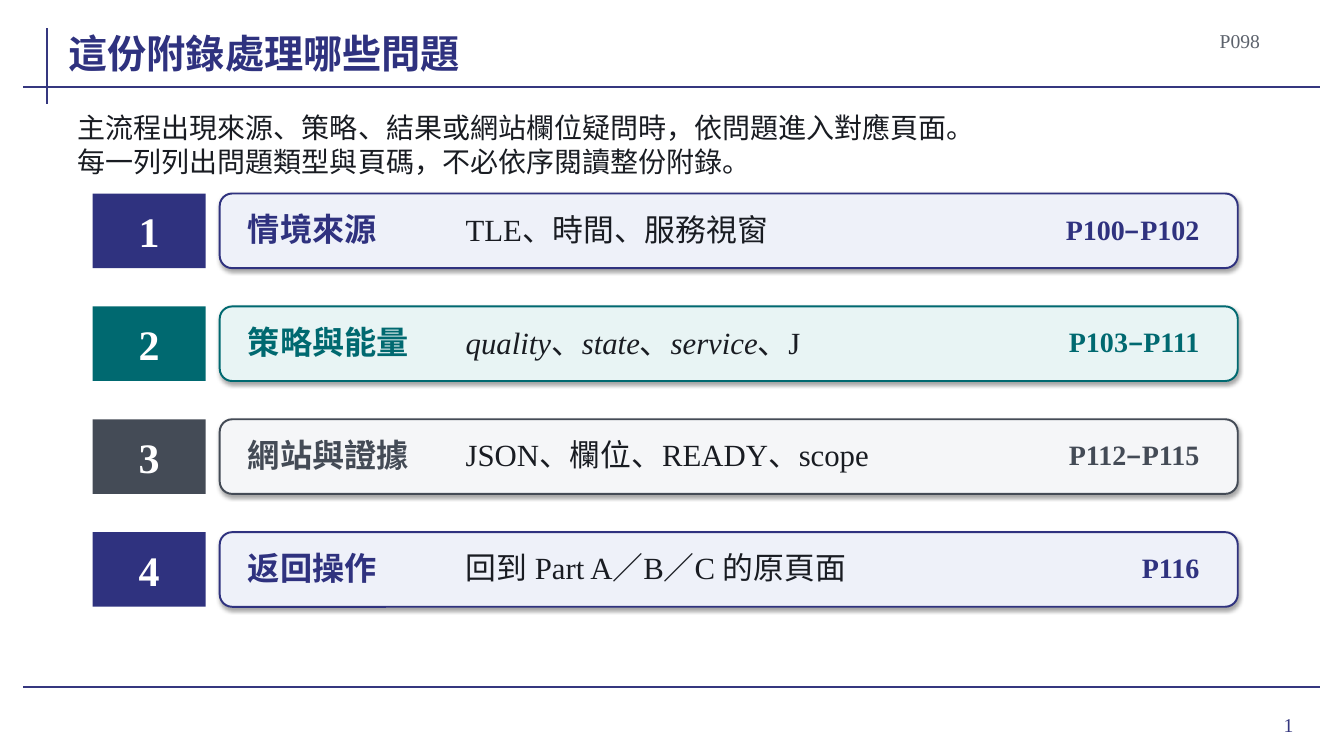
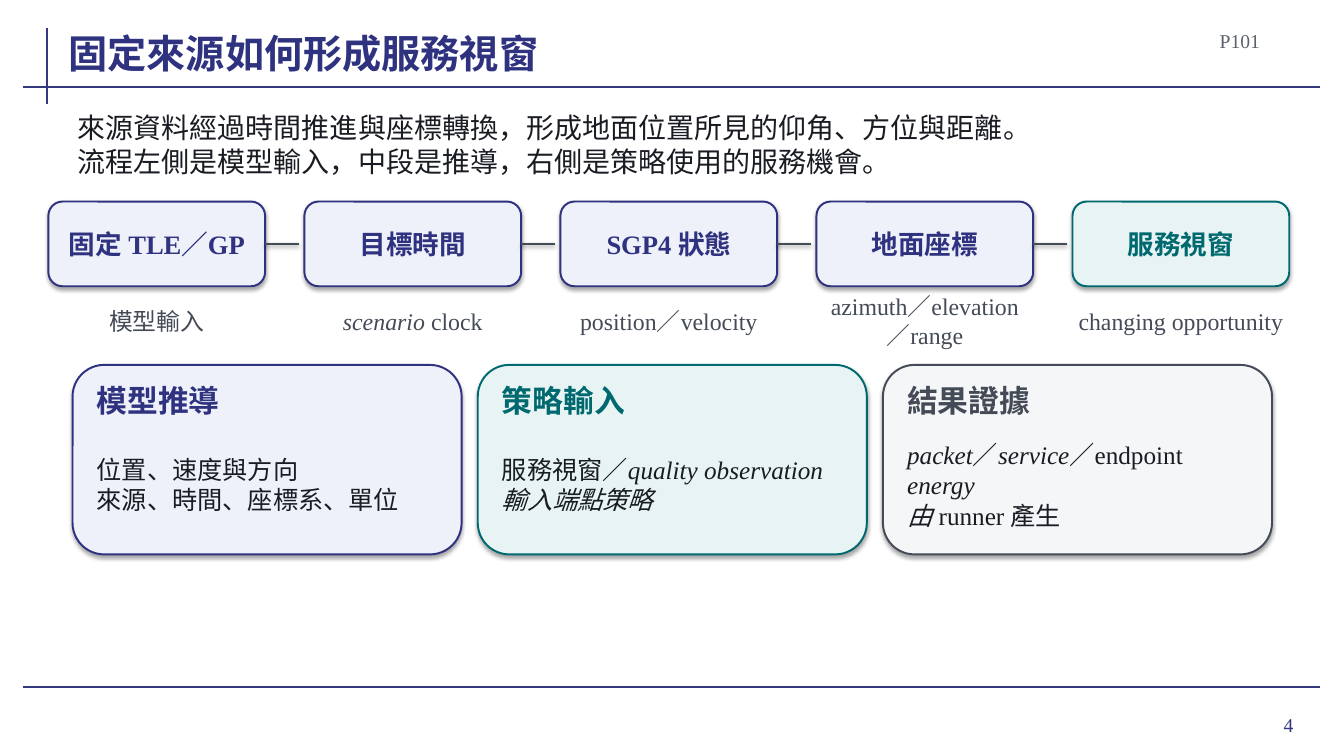
from collections import namedtuple
from dataclasses import dataclass
from itertools import groupby

from lxml import etree
from pptx import Presentation
from pptx.dml.color import RGBColor
from pptx.enum.shapes import MSO_CONNECTOR, MSO_SHAPE
from pptx.enum.text import MSO_ANCHOR, MSO_AUTO_SIZE, PP_ALIGN
from pptx.oxml.ns import qn
from pptx.util import Pt

LEFT, CENTER, RIGHT = PP_ALIGN.LEFT, PP_ALIGN.CENTER, PP_ALIGN.RIGHT
MIDDLE, BOTTOM = MSO_ANCHOR.MIDDLE, MSO_ANCHOR.BOTTOM
FIXED, GROW = MSO_AUTO_SIZE.NONE, MSO_AUTO_SIZE.SHAPE_TO_FIT_TEXT
RECTANGLE, ROUNDED = MSO_SHAPE.RECTANGLE, MSO_SHAPE.ROUNDED_RECTANGLE
STRAIGHT = MSO_CONNECTOR.STRAIGHT

Box = namedtuple("Box", "left top width height")
Tone = namedtuple("Tone", "strong pale")


@dataclass(frozen=True)
class Theme:
    latin: str = "Times New Roman"
    chinese: str = "Noto Sans CJK SC"
    rule: str = "35377F"
    ink: str = "191C22"
    muted: str = "5C626C"
    white: str = "FFFFFF"
    navy: Tone = Tone("2F327F", "EEF1F9")
    teal: Tone = Tone("006970", "E8F4F4")
    slate: Tone = Tone("444B56", "F5F6F8")
    title_size: float = 28
    small_size: float = 14
    intro_size: float = 20
    number_size: float = 30
    topic_size: float = 23
    detail_size: float = 22
    pages_size: float = 20
    step_size: float = 19
    caption_size: float = 17
    card_title_size: float = 22
    card_body_size: float = 18
    border: float = 1.4
    rule_width: float = 1.5


THEME = Theme()


def rgb(value):
    return RGBColor.from_string(value)


def points(*values):
    return [Pt(value) for value in values]


def inner(box, left, top, width, height):
    """Box whose left and top are counted from the corner of another box."""
    return Box(box.left + left, box.top + top, width, height)


def set_shadow(item, alpha=None, distance=0):
    """Replace the theme shadow by none, or by a soft one straight below."""
    effects = etree.SubElement(item._element.spPr, qn("a:effectLst"))
    if alpha is None:
        return
    shadow = etree.SubElement(effects, qn("a:outerShdw"), {
        "blurRad": str(Pt(3.1)), "dist": str(Pt(distance)),
        "dir": "5400000", "algn": "ctr", "rotWithShape": "0"})
    color = etree.SubElement(shadow, qn("a:srgbClr"), val="000000")
    etree.SubElement(color, qn("a:alpha"), val=str(alpha * 1000))


def split_spans(line):
    """Yield (text, italic, font name); asterisks enclose italic text."""
    for index, part in enumerate(line.split("*")):
        for ascii_only, letters in groupby(part, str.isascii):
            font = THEME.latin if ascii_only else THEME.chinese
            yield "".join(letters), index % 2 == 1, font


def write(item, text, size, color, bold=False, align=LEFT, anchor=MIDDLE,
          margins=(2.88, 2.88), fit=GROW):
    frame = item.text_frame
    across, down = points(*margins)
    frame_format = {
        "word_wrap": True, "auto_size": fit, "vertical_anchor": anchor,
        "margin_left": across, "margin_right": across,
        "margin_top": down, "margin_bottom": down}
    for name, value in frame_format.items():
        setattr(frame, name, value)
    para = frame.paragraphs[0]
    para.alignment = align
    for number, line in enumerate(text.split("\n")):
        if number:
            para.add_line_break()
        for letters, italic, font in split_spans(line):
            span = para.add_run()
            span.text = letters
            span_format = {"size": Pt(size), "bold": bold,
                           "italic": italic, "name": font}
            for name, value in span_format.items():
                setattr(span.font, name, value)
            span.font.color.rgb = rgb(color)
            etree.SubElement(span._r.get_or_add_rPr(), qn("a:ea"),
                             typeface=font)


def add_text(page, box, text, size, color, **options):
    write(page.shapes.add_textbox(*points(*box)), text, size, color, **options)


def add_rule(page, start, end, color, alpha=None):
    rule = page.shapes.add_connector(STRAIGHT, *points(*start, *end))
    rule.line.color.rgb = rgb(color)
    rule.line.width = Pt(THEME.rule_width)
    set_shadow(rule, alpha, 1.6)


def add_panel(page, box, tone):
    """Pale rounded panel with a strong border and a soft shadow."""
    panel = page.shapes.add_shape(ROUNDED, *points(*box))
    panel.fill.solid()
    panel.fill.fore_color.rgb = rgb(tone.pale)
    panel.line.color.rgb = rgb(tone.strong)
    panel.line.width = Pt(THEME.border)
    set_shadow(panel, 35, 1.8)


def add_page(deck, title, code, number, intro):
    """Page with the shared rules, title, page code, number and intro."""
    page = deck.slides.add_slide(deck.slide_layouts[6])
    add_rule(page, (33.84, 20.16), (33.84, 74.16), THEME.rule)
    for height in (61.92, 491.04):
        add_rule(page, (16.56, height), (943.2, height), THEME.rule)
    add_text(page, Box(861.12, 498.96, 69.84, 37.44), number,
             THEME.small_size, THEME.rule, align=RIGHT, margins=(7.2, 3.6),
             fit=FIXED)
    add_text(page, Box(48.96, 12.96, 784.8, 41.76), title, THEME.title_size,
             THEME.navy.strong, bold=True, anchor=BOTTOM, margins=(0, 0),
             fit=FIXED)
    add_text(page, Box(843.84, 19.44, 59.04, 18.72), code, THEME.small_size,
             THEME.muted, align=RIGHT)
    add_text(page, Box(54.72, 80.64, 848.16, 44.64), intro, THEME.intro_size,
             THEME.ink, margins=(0.72, 0.72))
    return page


def add_index_row(page, box, number, tone, topic, detail, pages):
    badge = page.shapes.add_shape(
        RECTANGLE, *points(box.left, box.top, 80.64, box.height))
    badge.fill.solid()
    badge.fill.fore_color.rgb = rgb(tone.strong)
    badge.line.fill.background()
    set_shadow(badge)
    write(badge, number, THEME.number_size, THEME.white, bold=True,
          align=CENTER)

    offset = 90.72
    panel = inner(box, offset, 0, box.width - offset, box.height)
    add_panel(page, panel, tone)
    add_text(page, inner(panel, 17.28, 5.76, 154.8, 38.88), topic,
             THEME.topic_size, tone.strong, bold=True)
    add_text(page, inner(panel, 172.8, 5.76, 399.6, 38.88), detail,
             THEME.detail_size, THEME.ink)
    add_text(page, inner(panel, 583.2, 5.76, 119.52, 38.88), pages,
             THEME.pages_size, tone.strong, bold=True, align=RIGHT)


def add_step(page, box, tone, label, caption):
    add_panel(page, box, tone)
    add_text(page, inner(box, 7.2, 5.76, box.width - 14.4, box.height - 11.52),
             label, THEME.step_size, tone.strong, bold=True, align=CENTER)
    add_text(page, inner(box, 0, box.height + 7.2, box.width, 34.56), caption,
             THEME.caption_size, THEME.slate.strong, align=CENTER)


def add_flow(page, box, steps):
    """Row of equal steps, joined by short lines."""
    width = 154.8
    pitch = (box.width - width) / (len(steps) - 1)
    middle = box.top + box.height / 2
    for index, step in enumerate(steps):
        left = box.left + index * pitch
        if index:
            start = left - pitch + width
            add_rule(page, (start, middle), (start + 24.48, middle),
                     THEME.slate.strong, 38)
        add_step(page, Box(left, box.top, width, box.height), *step)


def add_card(page, box, tone, title, body):
    add_panel(page, box, tone)
    width = box.width - 28.8
    add_text(page, inner(box, 14.4, 11.52, width, 27.36), title,
             THEME.card_title_size, tone.strong, bold=True)
    add_text(page, inner(box, 14.4, 46.08, width, 79.2), body,
             THEME.card_body_size, THEME.ink)


def build_index(deck):
    page = add_page(
        deck, "這份附錄處理哪些問題", "P098", "1",
        "主流程出現來源、策略、結果或網站欄位疑問時，依問題進入對應頁面。\n"
        "每一列列出問題類型與頁碼，不必依序閱讀整份附錄。")
    rows = [
        (THEME.navy, "情境來源", "TLE、時間、服務視窗", "P100–P102"),
        (THEME.teal, "策略與能量", "*quality*、*state*、*service*、J",
         "P103–P111"),
        (THEME.slate, "網站與證據", "JSON、欄位、READY、scope", "P112–P115"),
        (THEME.navy, "返回操作", "回到 Part A／B／C 的原頁面", "P116"),
    ]
    for index, row in enumerate(rows):
        box = Box(66.24, 138.24 + index * 80.64, 817.92, 53.28)
        add_index_row(page, box, str(index + 1), *row)


def build_process(deck):
    page = add_page(
        deck, "固定來源如何形成服務視窗", "P101", "4",
        "來源資料經過時間推進與座標轉換，形成地面位置所見的仰角、方位與距離。\n"
        "流程左側是模型輸入，中段是推導，右側是策略使用的服務機會。")
    add_flow(page, Box(34.56, 144, 886.32, 60.48), [
        (THEME.navy, "固定 TLE／GP", "模型輸入"),
        (THEME.navy, "目標時間", "*scenario* clock"),
        (THEME.navy, "SGP4 狀態", "position／velocity"),
        (THEME.navy, "地面座標", "azimuth／elevation／range"),
        (THEME.teal, "服務視窗", "changing opportunity"),
    ])
    cards = [
        (THEME.navy, "模型推導", "位置、速度與方向\n來源、時間、座標系、單位"),
        (THEME.teal, "策略輸入",
         "服務視窗／*quality observation*\n*輸入端點策略*"),
        (THEME.slate, "結果證據",
         "*packet*／*service*／endpoint *energy*\n*由* runner 產生"),
    ]
    for index, card in enumerate(cards):
        box = Box(51.84 + index * 289.44, 260.64, 277.92, 135.36)
        add_card(page, box, *card)


def main():
    deck = Presentation()
    deck.slide_width, deck.slide_height = points(960, 540)
    build_index(deck)
    build_process(deck)
    deck.save("out.pptx")


if __name__ == "__main__":
    main()
